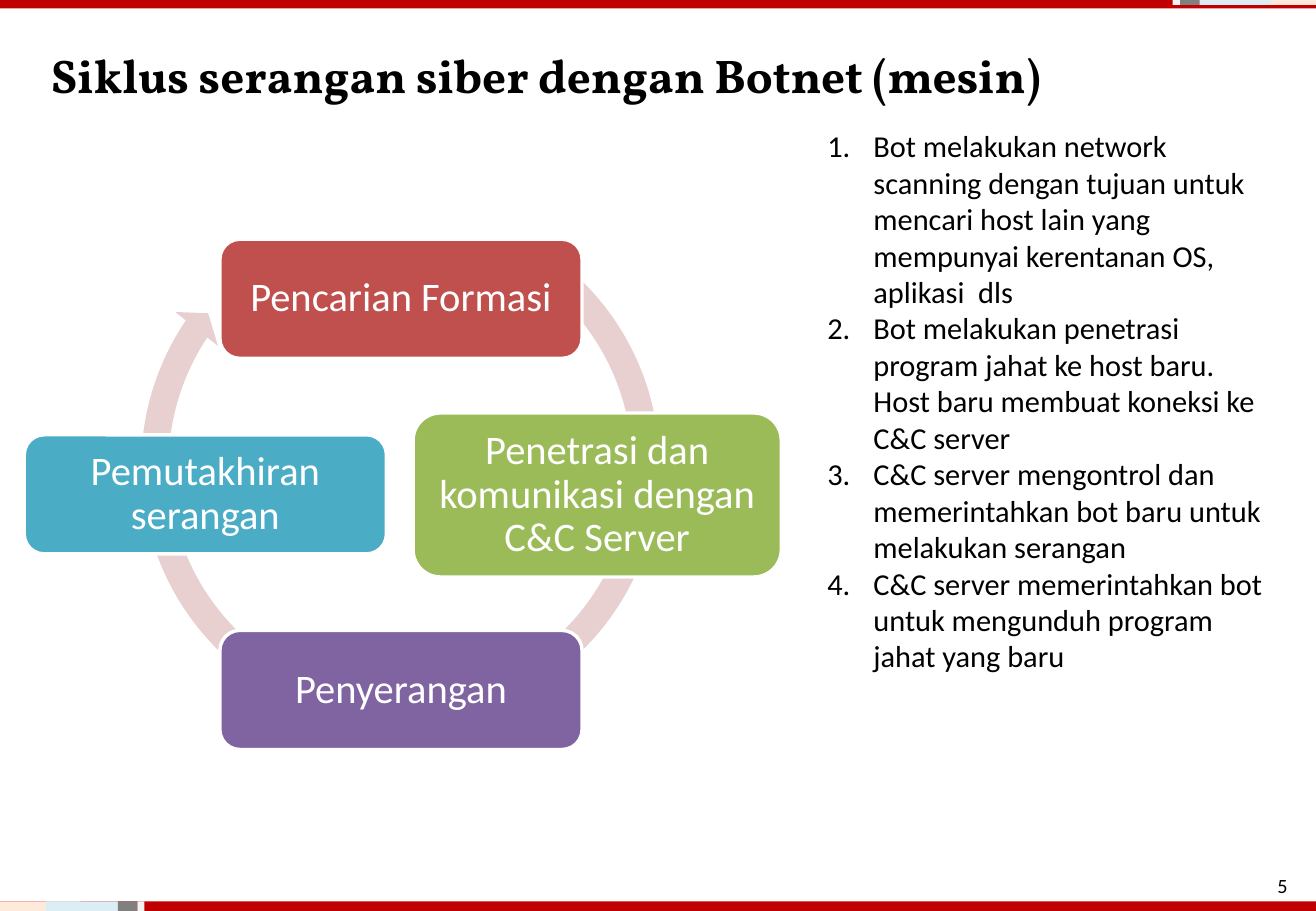
from dataclasses import dataclass

from lxml import etree
from pptx import Presentation
from pptx.dml.color import RGBColor
from pptx.enum.shapes import MSO_SHAPE
from pptx.enum.text import MSO_ANCHOR, PP_ALIGN
from pptx.oxml.ns import qn
from pptx.util import Emu, Pt

RECT = MSO_SHAPE.RECTANGLE
ROUNDED = MSO_SHAPE.ROUNDED_RECTANGLE
CIRCULAR_ARROW = MSO_SHAPE.CIRCULAR_ARROW
TOP, MIDDLE = MSO_ANCHOR.TOP, MSO_ANCHOR.MIDDLE
LEFT, CENTER = PP_ALIGN.LEFT, PP_ALIGN.CENTER

EMU_PER_PX = 9144
SLIDE_W, SLIDE_H = 1083, 750


@dataclass(frozen=True)
class Theme:
    heading_font: str = "Vollkorn"
    body_font: str = "Calibri"
    title_size: int = 28
    node_size: int = 24
    list_size: int = 18
    number_size: int = 12
    ink: str = "000000"
    white: str = "FFFFFF"
    band: str = "C00000"
    peach: str = "FDEADA"
    ice: str = "DBEEF4"
    gray: str = "808080"
    pale: str = "F2F2F2"
    ring: str = "E8D0D0"
    search: str = "C0504D"
    penetration: str = "9BBB59"
    attack: str = "8064A2"
    update: str = "4BACC6"


THEME = Theme()

BAND_ACCENTS = [
    (0, 66, THEME.peach),
    (38, 59, THEME.ice),
    (97, 16, THEME.gray),
    (113, 6, THEME.pale),
]
STAGES = [
    ("Pencarian Formasi", THEME.search, (0, -1), (298, 98)),
    ("Penetrasi dan komunikasi dengan C&C Server", THEME.penetration, (1, 0), (303, 135)),
    ("Penyerangan", THEME.attack, (0, 1), (298, 98)),
    ("Pemutakhiran serangan", THEME.update, (-1, 0), (298, 98)),
]
STEPS = [
    "Bot melakukan network scanning dengan tujuan untuk mencari host lain yang "
    "mempunyai kerentanan OS, aplikasi  dls",
    "Bot melakukan penetrasi program jahat ke host baru. Host baru membuat koneksi ke C&C server",
    "C&C server mengontrol dan memerintahkan bot baru untuk melakukan serangan",
    "C&C server memerintahkan bot untuk mengunduh program jahat yang baru",
]


def px(length):
    return Emu(length * EMU_PER_PX)


def add_filled(slide, preset, box, color):
    shape = slide.shapes.add_shape(preset, *map(px, box))
    shape.shadow.inherit = False
    shape.fill.solid()
    shape.fill.fore_color.rgb = RGBColor.from_string(color)
    shape.line.fill.background()
    return shape


def style_paragraph(paragraph, size, color, font, align=LEFT, bold=False):
    paragraph.alignment = align
    paragraph.font.size = Pt(size)
    paragraph.font.name = font
    paragraph.font.bold = bold
    paragraph.font.color.rgb = RGBColor.from_string(color)


def add_text_frame(slide, box, anchor):
    frame = slide.shapes.add_textbox(*map(px, box)).text_frame
    frame.word_wrap = True
    frame.vertical_anchor = anchor
    return frame


def draw_band(slide, box, accent_top, mirrored):
    left, _, width, height = box
    add_filled(slide, RECT, box, THEME.band)
    for offset, accent_width, color in BAND_ACCENTS:
        start = width - offset - accent_width if mirrored else offset
        add_filled(slide, RECT, (left + start, accent_top, accent_width, height), color)


def draw_title(slide, box):
    title = add_text_frame(slide, box, MIDDLE).paragraphs[0]
    title.text = "Siklus serangan siber dengan Botnet (mesin)"
    style_paragraph(title, THEME.title_size, THEME.ink, THEME.heading_font, bold=True)


def draw_cycle(slide, box):
    left, top, width, height = box
    ring = add_filled(slide, CIRCULAR_ARROW, (left + 86, top, 449, 449), THEME.ring)
    for index, value in enumerate((0.05, 2.73, 128.34, 180.29, 0.05)):
        ring.adjustments[index] = value
    center_x, center_y, radius = left + 311, top + 248, 161
    for label, color, (dx, dy), (node_w, node_h) in STAGES:
        node_left = center_x + dx * radius - node_w // 2
        node_top = center_y + dy * radius - node_h // 2
        node = add_filled(slide, ROUNDED, (node_left, node_top, node_w, node_h), color)
        node.line.color.rgb = RGBColor.from_string(THEME.white)
        node.line.width = Pt(2)
        frame = node.text_frame
        frame.word_wrap = True
        frame.vertical_anchor = MIDDLE
        frame.margin_left = frame.margin_right = px(14)
        frame.margin_top = frame.margin_bottom = px(14)
        stage = frame.paragraphs[0]
        stage.text = label
        stage.line_spacing = 0.9
        style_paragraph(stage, THEME.node_size, THEME.white, THEME.body_font, CENTER)


def draw_steps(slide, box):
    frame = add_text_frame(slide, box, TOP)
    frame.text = "\n".join(STEPS)
    for step in frame.paragraphs:
        style_paragraph(step, THEME.list_size, THEME.ink, THEME.body_font)
        properties = step._p.get_or_add_pPr()
        properties.set("marL", str(px(38)))
        properties.set("indent", str(-px(38)))
        numbering = etree.Element(qn("a:buAutoNum"), type="arabicPeriod")
        properties.insert_element_before(numbering, "a:tabLst", "a:defRPr", "a:extLst")


def draw_page_number(slide, box):
    number = add_text_frame(slide, box, MIDDLE).paragraphs[0]
    number.text = "5"
    style_paragraph(number, THEME.number_size, THEME.ink, THEME.body_font, CENTER)


def main():
    deck = Presentation()
    deck.slide_width, deck.slide_height = px(SLIDE_W), px(SLIDE_H)
    slide = deck.slides.add_slide(deck.slide_layouts[6])
    draw_band(slide, (0, 742, 1084, 8), 742, mirrored=False)
    draw_band(slide, (0, -1, 1084, 8), -4, mirrored=True)
    draw_title(slide, (32, 22, 1023, 78))
    draw_cycle(slide, (19, 159, 623, 457))
    draw_page_number(slide, (1035, 715, 41, 28))
    draw_steps(slide, (671, 100, 380, 464))
    deck.save("out.pptx")


if __name__ == "__main__":
    main()
